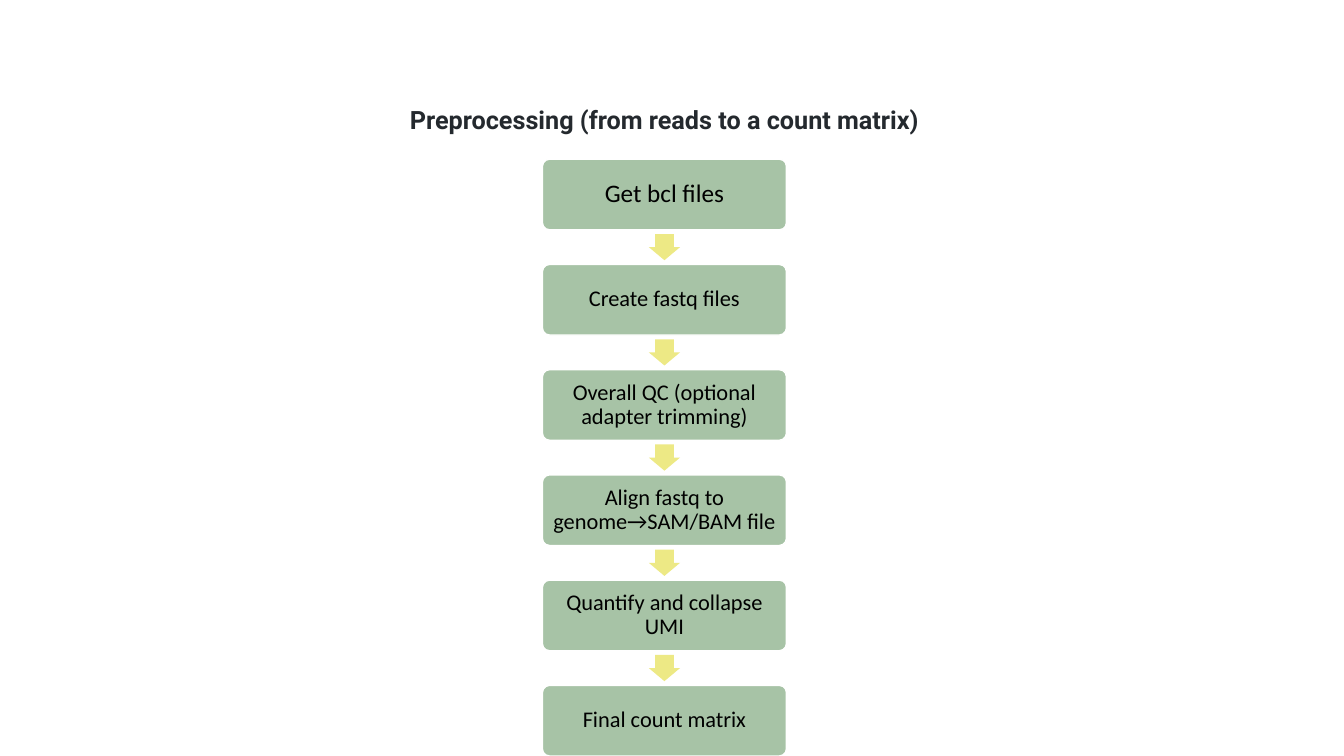
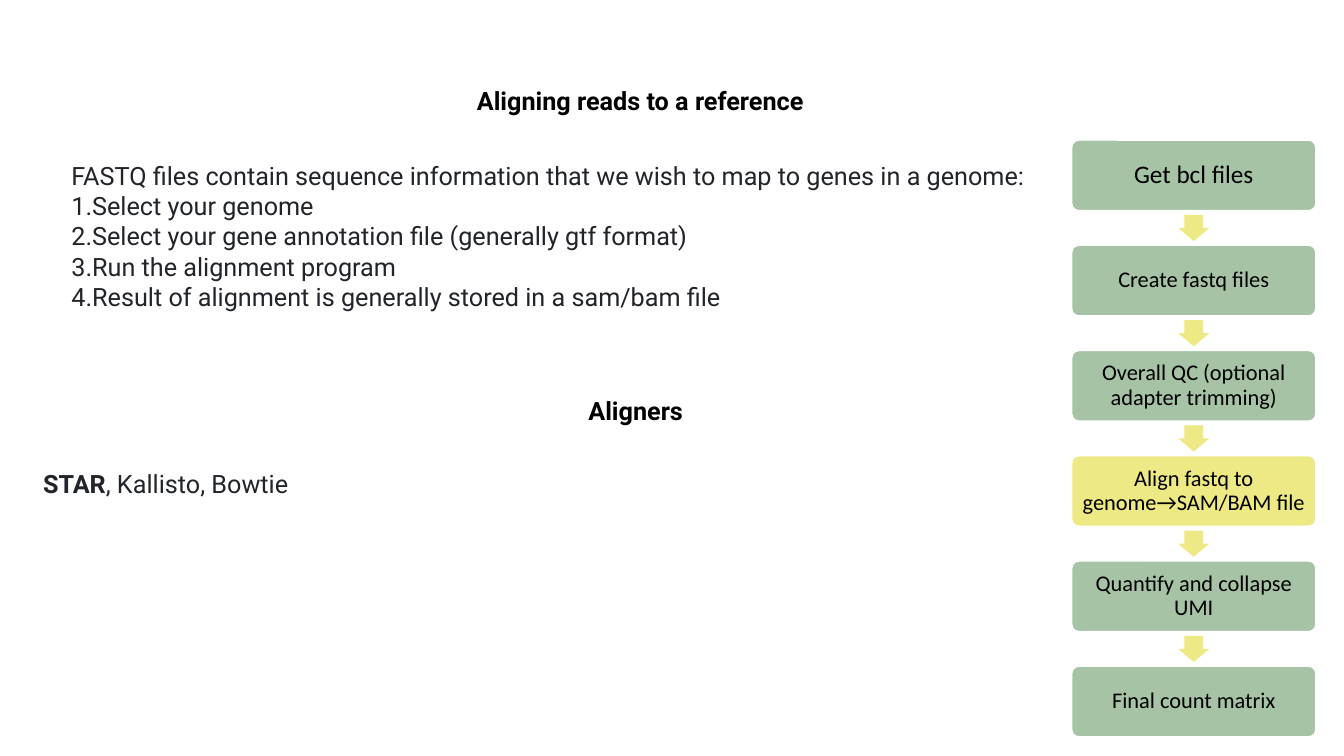
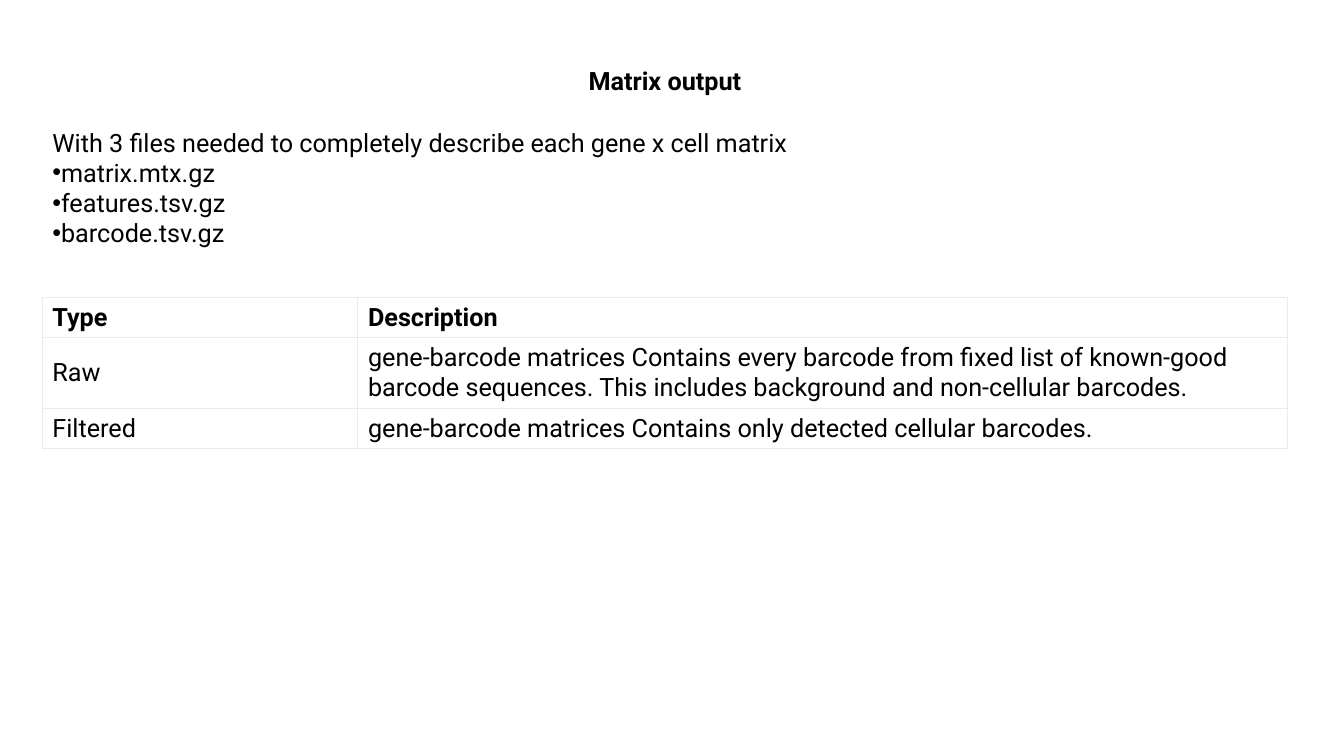
from dataclasses import dataclass

from lxml.etree import SubElement
from pptx import Presentation
from pptx.dml.color import RGBColor
from pptx.enum.shapes import MSO_SHAPE as Shape
from pptx.enum.text import MSO_ANCHOR as Anchor, MSO_AUTO_SIZE as AutoSize, PP_ALIGN as Align
from pptx.oxml.ns import qn
from pptx.util import Inches, Pt

TEXT_FONT, FLOW_FONT = "Roboto", "Calibri"
BLACK, WHITE, INK, TITLE_INK = "000000", "FFFFFF", "212529", "24292E"
GREEN, YELLOW, GRID = "A7C3A6", "EDE985", "E9EBEC"
TEXT_SIZE = 18
LINE_H = 0.4

STEP_W, STEP_H, FLOW_SPAN = 2.42, 0.7, 5.22
ARROW_W, ARROW_H = 0.31, 0.26


@dataclass(frozen=True)
class Box:
    left: float
    top: float
    width: float
    height: float

    def lengths(self) -> tuple:
        return tuple(Inches(v) for v in (self.left, self.top, self.width, self.height))


@dataclass(frozen=True)
class Step:
    text: str
    size: int = 16


@dataclass(frozen=True)
class Run:
    text: str
    bold: bool = False


@dataclass(frozen=True)
class Para:
    runs: tuple[Run, ...]
    bullet: str = ""


STEPS = (
    Step("Get bcl files", 18),
    Step("Create fastq files"),
    Step("Overall QC (optional adapter trimming)"),
    Step("Align fastq to genome→SAM/BAM file"),
    Step("Quantify and collapse UMI"),
    Step("Final count matrix"),
)
ALIGN_STEP = 3


def rgb(color: str) -> RGBColor:
    return RGBColor.from_string(color)


def add_run(p, text: str, color: str, bold: bool = False,
            font: str = TEXT_FONT, size: int = TEXT_SIZE) -> None:
    r = p.add_run()
    r.text = text
    r.font.name, r.font.size, r.font.bold = font, Pt(size), bold
    r.font.color.rgb = rgb(color)


def add_bullet(p, bullet: str) -> None:
    """Set a bullet that sits directly against its text; "1." means numbering."""
    pPr = p._p.get_or_add_pPr()
    pPr.set("marL", "0")
    pPr.set("indent", "0")
    if bullet == "1.":
        SubElement(pPr, qn("a:buFont"), typeface="+mj-lt")
        SubElement(pPr, qn("a:buAutoNum"), type="arabicPeriod")
    else:
        SubElement(pPr, qn("a:buFont"), typeface="Arial")
        SubElement(pPr, qn("a:buChar"), char=bullet)


def write_heading(sp, text: str, color: str) -> None:
    tf = sp.text_frame
    tf.word_wrap = True
    tf.auto_size = AutoSize.NONE
    tf.vertical_anchor = Anchor.TOP
    p = tf.paragraphs[0]
    p.alignment = Align.CENTER
    add_run(p, text, color, bold=True)


def add_titled_slide(prs, title: str, box: Box, color: str = BLACK):
    s = prs.slides.add_slide(prs.slide_layouts[5])
    sp = s.shapes.title
    sp.left, sp.top, sp.width, sp.height = box.lengths()
    write_heading(sp, title, color)
    return s


def add_body(s, box: Box, paras: list[Para], color: str) -> None:
    tf = s.shapes.add_textbox(*box.lengths()).text_frame
    tf.word_wrap = True
    for i, para in enumerate(paras):
        p = tf.add_paragraph() if i else tf.paragraphs[0]
        if para.bullet:
            add_bullet(p, para.bullet)
        for run in para.runs:
            add_run(p, run.text, color, run.bold)


def intro_and_list(intro: str, items: list[str], bullet: str) -> list[Para]:
    return [Para((Run(intro),))] + [Para((Run(item),), bullet) for item in items]


def add_filled_shape(s, kind, box: Box, fill: str, adjustments: tuple[float, ...]):
    sp = s.shapes.add_shape(kind, *box.lengths())
    sp.shadow.inherit = False
    sp.fill.solid()
    sp.fill.fore_color.rgb = rgb(fill)
    for i, value in enumerate(adjustments):
        sp.adjustments[i] = value
    return sp


def add_step(s, step: Step, box: Box, fill: str) -> None:
    sp = add_filled_shape(s, Shape.ROUNDED_RECTANGLE, box, fill, (0.1,))
    sp.line.color.rgb = rgb(WHITE)
    sp.line.width = Pt(1)
    tf = sp.text_frame
    tf.word_wrap = True
    tf.vertical_anchor = Anchor.MIDDLE
    tf.margin_left = tf.margin_right = tf.margin_top = tf.margin_bottom = Inches(0.07)
    p = tf.paragraphs[0]
    p.alignment = Align.CENTER
    p.line_spacing = 0.9
    add_run(p, step.text, BLACK, font=FLOW_FONT, size=step.size)


def add_flow(s, left: float, top: float, current: int | None = None) -> None:
    """Draw the preprocessing steps downwards, with the current one highlighted."""
    pitch = FLOW_SPAN / (len(STEPS) - 1)
    arrow_left = left + (STEP_W - ARROW_W) / 2
    arrow_gap = (pitch - STEP_H - ARROW_H) / 2
    for i, step in enumerate(STEPS):
        y = top + i * pitch
        add_step(s, step, Box(left, y, STEP_W, STEP_H), YELLOW if i == current else GREEN)
        if i < len(STEPS) - 1:
            box = Box(arrow_left, y + STEP_H + arrow_gap, ARROW_W, ARROW_H)
            arrow = add_filled_shape(s, Shape.DOWN_ARROW, box, YELLOW, (0.6, 0.5))
            arrow.line.fill.background()


def add_borders(cell) -> None:
    tcPr = cell._tc.get_or_add_tcPr()
    for side in ("lnL", "lnR", "lnT", "lnB"):
        ln = SubElement(tcPr, qn(f"a:{side}"), w=str(Pt(0.75)))
        SubElement(SubElement(ln, qn("a:solidFill")), qn("a:srgbClr"), val=GRID)


def add_plain_table(s, box: Box, rows: list[tuple[str, str]],
                    widths: tuple[float, ...], heights: tuple[float, ...]) -> None:
    table = s.shapes.add_table(len(rows), len(widths), *box.lengths()).table
    table.first_row = table.horz_banding = False
    for col, width in zip(table.columns, widths):
        col.width = Inches(width)
    for i, (row, height) in enumerate(zip(rows, heights)):
        table.rows[i].height = Inches(height)
        for j, text in enumerate(row):
            cell = table.cell(i, j)
            add_borders(cell)
            cell.fill.background()
            cell.vertical_anchor = Anchor.MIDDLE
            add_run(cell.text_frame.paragraphs[0], text, BLACK, bold=i == 0)


def build_preprocessing(prs) -> None:
    s = add_titled_slide(prs, "Preprocessing (from reads to a count matrix)",
                         Box(3.8, 0.98, 5.58, LINE_H), TITLE_INK)
    add_flow(s, 5.38, 1.58)


def build_aligning(prs) -> None:
    s = add_titled_slide(prs, "Aligning reads to a reference", Box(3.09, 0.8, 6.52, LINE_H))
    add_body(s, Box(0.61, 1.54, 9.98, 1.62), intro_and_list(
        "FASTQ files contain sequence information that we wish to map to genes in a genome:",
        ["Select your genome",
         "Select your gene annotation file (generally gtf format)",
         "Run the alignment program",
         "Result of alignment is generally stored in a sam/bam file"], "1."), INK)
    add_flow(s, 10.63, 1.39, ALIGN_STEP)
    aligners = s.shapes.add_textbox(*Box(4.65, 3.87, 3.31, LINE_H).lengths())
    write_heading(aligners, "Aligners", BLACK)
    add_body(s, Box(0.33, 4.6, 10.2, LINE_H),
             [Para((Run("STAR", True), Run(", Kallisto, Bowtie")))], INK)


def build_matrix_output(prs) -> None:
    left, width = 0.42, 12.35
    s = add_titled_slide(prs, "Matrix output", Box(left, 0.6, width, LINE_H))
    add_body(s, Box(left, 1.21, width, 1.3), intro_and_list(
        "With 3 files needed to completely describe each gene x cell matrix",
        ["matrix.mtx.gz", "features.tsv.gz", "barcode.tsv.gz"], "•"), BLACK)
    add_plain_table(s, Box(left, 2.95, width, 1.47), [
        ("Type", "Description"),
        ("Raw", "gene-barcode matrices Contains every barcode from fixed list of known-good "
                "barcode sequences. This includes background and non-cellular barcodes."),
        ("Filtered", "gene-barcode matrices Contains only detected cellular barcodes."),
    ], (3.13, 9.22), (0.39, 0.69, 0.39))


def main() -> None:
    prs = Presentation()
    prs.slide_width, prs.slide_height = Inches(13.33), Inches(7.5)
    build_preprocessing(prs)
    build_aligning(prs)
    build_matrix_output(prs)
    prs.save("out.pptx")


if __name__ == "__main__":
    main()
